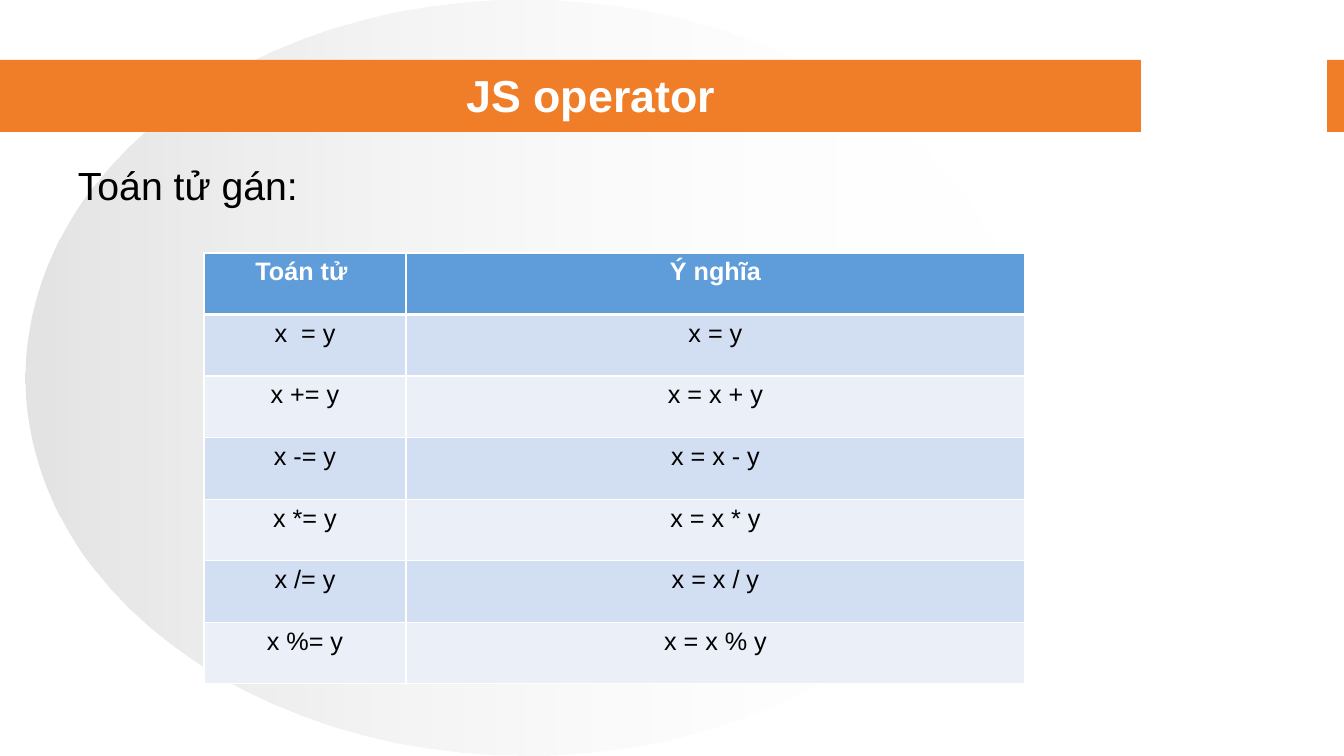
from lxml import etree
from pptx import Presentation
from pptx.dml.color import RGBColor
from pptx.enum.shapes import MSO_SHAPE
from pptx.enum.text import MSO_ANCHOR, PP_ALIGN
from pptx.oxml.ns import qn
from pptx.util import Emu, Pt

WHITE = RGBColor(0xFF, 0xFF, 0xFF)
BLACK = RGBColor(0, 0, 0)
GREY = RGBColor(0xC0, 0xC0, 0xC0)
ORANGE = RGBColor(0xF0, 0x7D, 0x27)
HEADER_BLUE = RGBColor(0x5E, 0x9C, 0xDA)
ROW_FILLS = [RGBColor(0xEA, 0xEF, 0xF8), RGBColor(0xD2, 0xDE, 0xF1)]


def px(*lengths):
    return [Emu(round(length * 914400 / 100.8)) for length in lengths]


def write(frame, text, size, color, bold=False, align=PP_ALIGN.CENTER):
    paragraph = frame.paragraphs[0]
    paragraph.alignment = align
    run = paragraph.add_run()
    run.text = text
    run.font.name = "Arial"
    run.font.size = Pt(size)
    run.font.bold = bold
    run.font.color.rgb = color


prs = Presentation()
prs.slide_width, prs.slide_height = px(1344, 756)
slide = prs.slides.add_slide(prs.slide_layouts[5])
shapes = slide.shapes

# Background ellipse, orange band and the white gap in it
backdrop = []
for kind, box, color in [
    (MSO_SHAPE.OVAL, (26, 0, 1000, 756), None),
    (MSO_SHAPE.RECTANGLE, (0, 60, 1344, 72), ORANGE),
    (MSO_SHAPE.RECTANGLE, (1142, 60, 185, 72), WHITE),
]:
    shape = shapes.add_shape(kind, *px(*box))
    shape.shadow.inherit = False
    shape.line.fill.background()
    if color is not None:
        shape.fill.solid()
        shape.fill.fore_color.rgb = color
    backdrop.append(shape)
ellipse, band, gap = backdrop
gap.line.color.rgb = WHITE
gap.line.width = Pt(0.75)

# Fade the ellipse from translucent grey to clear white
ellipse.fill.gradient()
ellipse.fill.gradient_angle = 0
for stop, color, position, opacity in zip(
    ellipse.fill.gradient_stops, (GREY, WHITE), (0, 1), (44, 0)
):
    stop.color.rgb = color
    stop.position = position
for rgb, opacity in zip(ellipse._element.spPr.iter(qn("a:srgbClr")), (44, 0)):
    etree.SubElement(rgb, qn("a:alpha")).set("val", str(opacity * 1000))

# Title, brought in front of the band
title = shapes.title
title.left, title.top, title.width, title.height = px(67, 68, 1048, 53)
title.text_frame.vertical_anchor = MSO_ANCHOR.MIDDLE
write(title.text_frame, "JS operator", 32, WHITE, bold=True)
band._element.getparent().append(title._element)

# Assignment operators
rows = [
    ("Toán tử ", "Ý nghĩa"),
    ("x  = y", "x = y"),
    ("x += y", "x = x + y"),
    ("x -= y", "x = x - y"),
    ("x *= y", "x = x * y"),
    ("x /= y", "x = x / y"),
    ("x %= y", "x = x % y"),
]
table = shapes.add_table(len(rows), 2, *px(204, 253, 821, 431)).table
for column, width in zip(table.columns, px(202, 619)):
    column.width = width
for r, texts in enumerate(rows):
    header = r == 0
    for c, text in enumerate(texts):
        cell = table.cell(r, c)
        write(cell.text_frame, text, 18, WHITE if header else BLACK, bold=header)
        # Borders go before the fill in the cell properties
        properties = cell._tc.get_or_add_tcPr()
        for side in ("lnL", "lnR", "lnT", "lnB"):
            thick = (header and side == "lnB") or (r == 1 and side == "lnT")
            border = etree.SubElement(properties, qn("a:" + side))
            border.set("w", str(Pt(3 if thick else 1)))
            fill = etree.SubElement(border, qn("a:solidFill"))
            etree.SubElement(fill, qn("a:srgbClr")).set("val", str(WHITE))
        cell.fill.solid()
        cell.fill.fore_color.rgb = HEADER_BLUE if header else ROW_FILLS[r % 2]

# Section heading
heading = shapes.add_textbox(*px(68, 156, 243, 58))
heading.text_frame.word_wrap = False
write(heading.text_frame, "Toán tử gán:", 28, BLACK, align=PP_ALIGN.LEFT)

prs.save("out.pptx")
